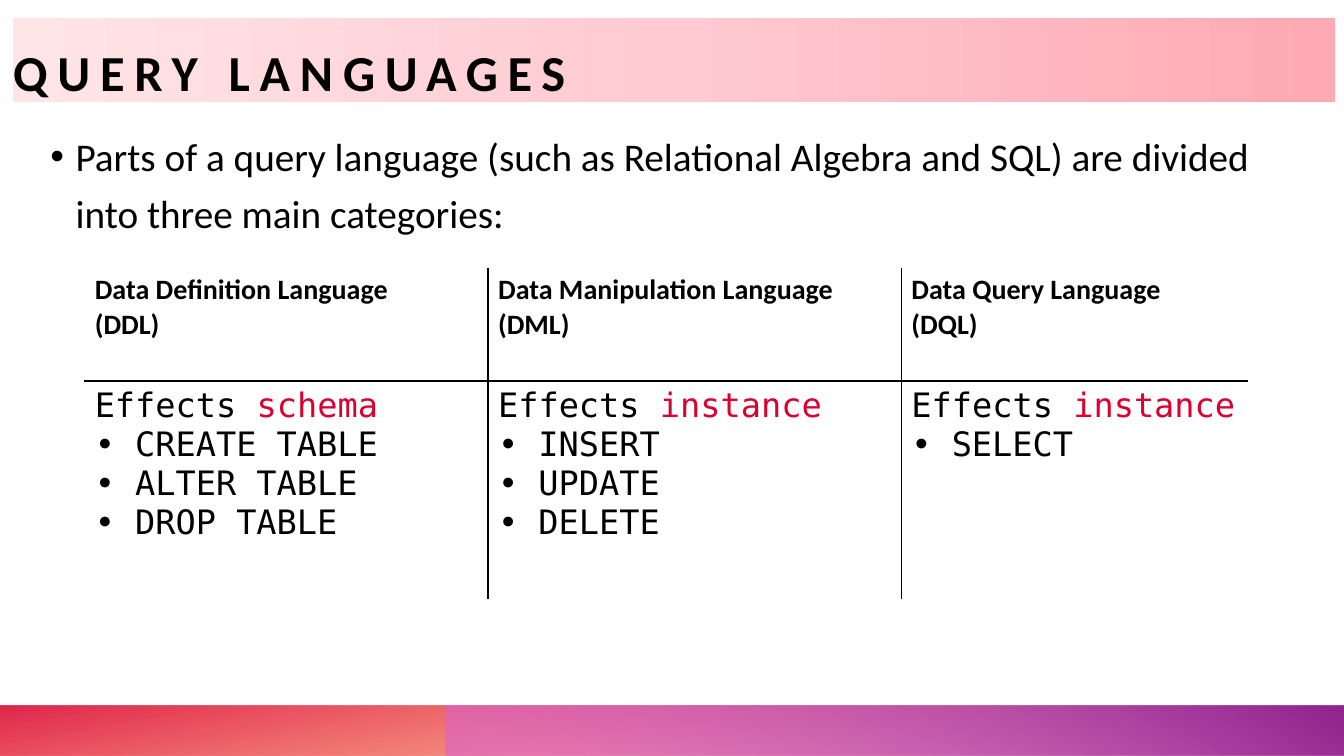
from lxml.etree import SubElement
from pptx import Presentation
from pptx.dml.color import RGBColor
from pptx.enum.shapes import MSO_SHAPE
from pptx.enum.text import MSO_ANCHOR, MSO_AUTO_SIZE, PP_ALIGN
from pptx.oxml.ns import qn
from pptx.util import Inches, Pt

BLACK = RGBColor(0x00, 0x00, 0x00)
WHITE = RGBColor(0xFF, 0xFF, 0xFF)
RED = RGBColor(0xDA, 0x00, 0x2F)
ORANGE = RGBColor(0xFE, 0x4A, 0x00)
ORCHID = RGBColor(0xD8, 0x61, 0xD4)
PURPLE = RGBColor(0x92, 0x24, 0x8E)
PINK = RGBColor(0xFF, 0xA9, 0xB4)
PALE_PINK = RGBColor(0xFF, 0xCA, 0xD1)
FAINT_PINK = RGBColor(0xFF, 0xE5, 0xE8)

SANS = "Calibri"
MONO = "DejaVu Sans Mono"

# Heading lines, what the statements affect, statements
CATEGORIES = [
    (["Data Definition Language", "(DDL)"], "schema",
     ["CREATE TABLE", "ALTER TABLE", "DROP TABLE"]),
    (["Data Manipulation Language", "(DML)"], "instance",
     ["INSERT", "UPDATE", "DELETE"]),
    (["Data Query Language", "(DQL)"], "instance", ["SELECT"]),
]
COLUMN_WIDTHS = [4, 4.1, 3.43]
ROW_HEIGHTS = [1.12, 2.17]


def add_text(paragraph, text, font=SANS, size=20, color=BLACK, bold=False, spacing=0):
    run = paragraph.add_run()
    run.text = text
    run.font.name = font
    run.font.size = Pt(size)
    run.font.bold = bold
    run.font.color.rgb = color
    if spacing:
        run.font._element.set("spc", str(spacing * 100))


def set_bullet(paragraph, indent, font):
    properties = paragraph._p.get_or_add_pPr()
    properties.set("marL", str(Inches(indent)))
    properties.set("indent", str(-Inches(indent)))
    SubElement(properties, qn("a:buFont"), typeface=font)
    SubElement(properties, qn("a:buChar"), char="•")


def next_paragraph(frame):
    """Return the empty first paragraph, or a new one after the last."""
    first = frame.paragraphs[0]
    return frame.add_paragraph() if first.runs else first


def place(shape, left, top, width, height):
    shape.left, shape.top = Inches(left), Inches(top)
    shape.width, shape.height = Inches(width), Inches(height)


def clear_margins(frame):
    frame.margin_left = frame.margin_right = 0
    frame.margin_top = frame.margin_bottom = 0
    frame.auto_size = MSO_AUTO_SIZE.NONE
    frame.word_wrap = True


def set_gradient(shape, stops, angle):
    """Fill with (position %, colour, opacity %) stops at a clockwise angle."""
    shape.fill.gradient()
    gradient = shape._element.spPr.find(qn("a:gradFill"))
    for child in list(gradient):
        gradient.remove(child)
    stop_list = SubElement(gradient, qn("a:gsLst"))
    for position, color, opacity in stops:
        stop = SubElement(stop_list, qn("a:gs"), pos=str(position * 1000))
        rgb = SubElement(stop, qn("a:srgbClr"), val=str(color))
        if opacity < 100:
            SubElement(rgb, qn("a:alpha"), val=str(opacity * 1000))
    SubElement(gradient, qn("a:lin"), ang=str(angle * 60000), scaled="0")


def add_bar(slide, box, stops, angle, rotation=0):
    bar = slide.shapes.add_shape(MSO_SHAPE.RECTANGLE, *map(Inches, box))
    bar.shadow.inherit = False
    bar.line.fill.background()
    bar.rotation = rotation
    bar._element.spPr.xfrm.set("flipH", "1")
    set_gradient(bar, stops, angle)


def add_footer(slide, left, top, width, height):
    add_bar(slide, (left, top, width, height),
            [(14, ORANGE, 28), (100, RED, 85)], 100, rotation=180)
    purple_left = left + 4.42
    add_bar(slide, (purple_left, top, left + width - purple_left, height),
            [(9, ORCHID, 55), (99, PURPLE, 100)], 240)


def fill_title(slide, *box):
    title = slide.shapes.title
    place(title, *box)
    set_gradient(title, [(0, PINK, 100), (50, PALE_PINK, 100), (100, FAINT_PINK, 100)], 180)
    frame = title.text_frame
    clear_margins(frame)
    frame.vertical_anchor = MSO_ANCHOR.BOTTOM
    paragraph = frame.paragraphs[0]
    paragraph.alignment = PP_ALIGN.LEFT
    add_text(paragraph, "QUERY LANGUAGES", size=36, bold=True, spacing=7)


def fill_body(slide, *box):
    body = slide.placeholders[1]
    place(body, *box)
    frame = body.text_frame
    clear_margins(frame)
    paragraph = frame.paragraphs[0]
    paragraph.line_spacing = 1.2
    paragraph.space_before = Pt(10)
    set_bullet(paragraph, 0.25, "Arial")
    add_text(paragraph, "Parts of a query language (such as Relational Algebra and SQL) "
             "are divided into three main categories:", size=28)


def set_borders(cell, **colors):
    properties = cell._tc.get_or_add_tcPr()
    for side in "LRTB":
        line = SubElement(properties, qn(f"a:ln{side}"), w=str(Pt(1)))
        fill = SubElement(line, qn("a:solidFill"))
        SubElement(fill, qn("a:srgbClr"), val=str(colors[side]))


def add_category_table(slide, left, top):
    frame = slide.shapes.add_table(
        len(ROW_HEIGHTS), len(COLUMN_WIDTHS), Inches(left), Inches(top),
        Inches(sum(COLUMN_WIDTHS)), Inches(sum(ROW_HEIGHTS)))
    table = frame.table
    table.first_row = table.horz_banding = False
    for row, height in zip(table.rows, ROW_HEIGHTS):
        row.height = Inches(height)

    last = len(CATEGORIES) - 1
    for index, (heading, target, statements) in enumerate(CATEGORIES):
        table.columns[index].width = Inches(COLUMN_WIDTHS[index])
        header, detail = table.cell(0, index), table.cell(1, index)

        # Black rules only between cells
        sides = {"L": BLACK if index else WHITE, "R": BLACK if index < last else WHITE}
        set_borders(header, T=WHITE, B=BLACK, **sides)
        set_borders(detail, T=BLACK, B=WHITE, **sides)
        header.fill.background()
        detail.fill.background()

        for line in heading:
            add_text(next_paragraph(header.text_frame), line, bold=True)
        effect = next_paragraph(detail.text_frame)
        add_text(effect, "Effects ", font=MONO, size=24)
        add_text(effect, target, font=MONO, size=24, color=RED)
        for statement in statements:
            paragraph = next_paragraph(detail.text_frame)
            set_bullet(paragraph, 0.4, MONO)
            add_text(paragraph, statement, font=MONO, size=24)


def main():
    presentation = Presentation()
    presentation.slide_width = Inches(13.33)
    presentation.slide_height = Inches(7.5)
    slide = presentation.slides.add_slide(presentation.slide_layouts[1])

    add_footer(slide, 0, 7, 13.33, 0.5)
    fill_title(slide, 0.13, 0.18, 13.11, 0.83)
    fill_body(slide, 0.5, 1.22, 12.2, 5.42)
    add_category_table(slide, 0.84, 2.66)
    presentation.save("out.pptx")


if __name__ == "__main__":
    main()
